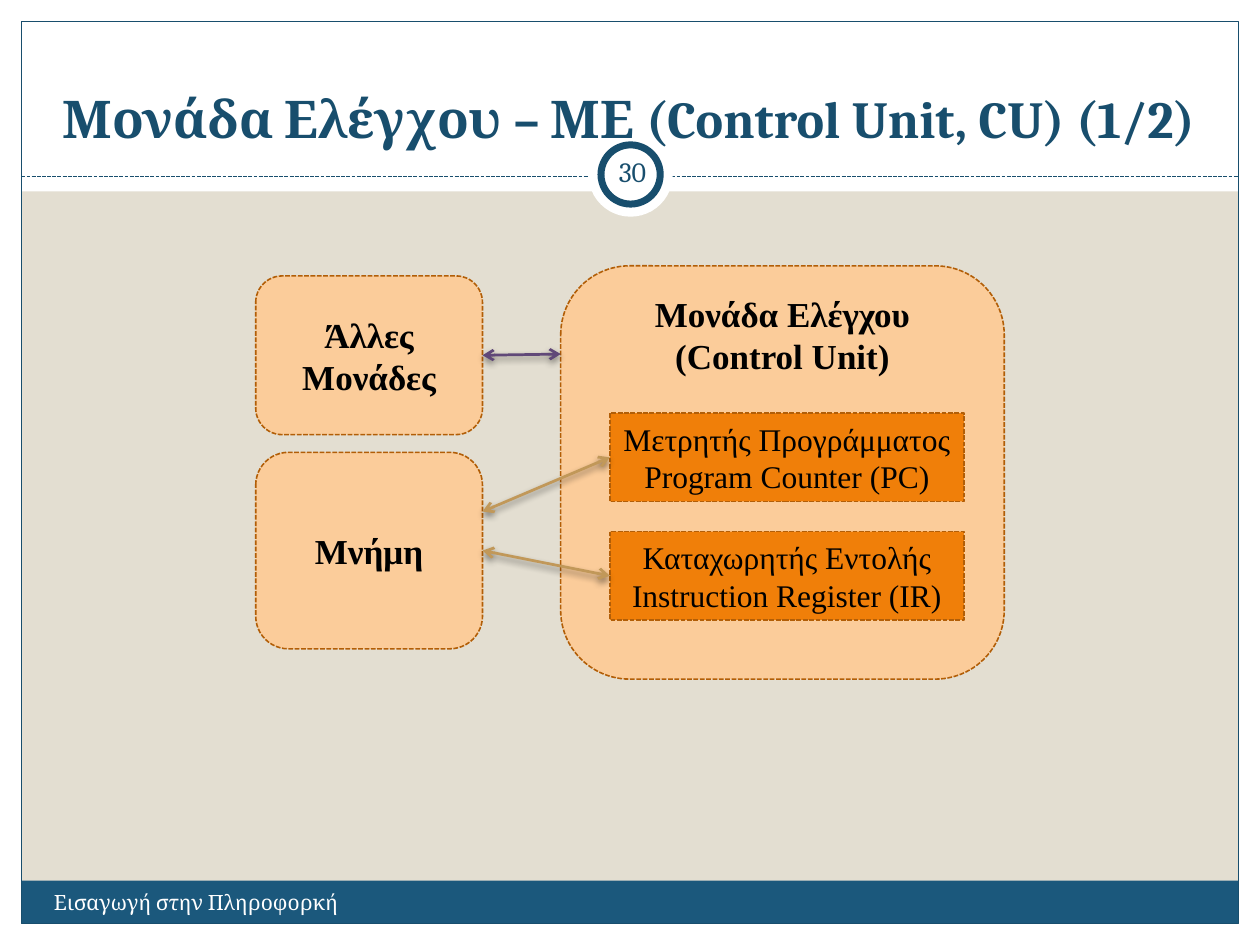
from lxml import etree
from pptx import Presentation
from pptx.dml.color import RGBColor
from pptx.enum.dml import MSO_LINE
from pptx.enum.shapes import MSO_CONNECTOR, MSO_SHAPE
from pptx.enum.text import MSO_ANCHOR, PP_ALIGN
from pptx.oxml.ns import qn
from pptx.util import Inches, Pt

RECTANGLE, ROUNDED, OVAL = MSO_SHAPE.RECTANGLE, MSO_SHAPE.ROUNDED_RECTANGLE, MSO_SHAPE.OVAL
STRAIGHT = MSO_CONNECTOR.STRAIGHT
DASH = MSO_LINE.SQUARE_DOT
TOP, MIDDLE, BOTTOM = MSO_ANCHOR.TOP, MSO_ANCHOR.MIDDLE, MSO_ANCHOR.BOTTOM
LEFT, CENTER = PP_ALIGN.LEFT, PP_ALIGN.CENTER
LEFT_SIDE, RIGHT_SIDE = 1, 3
TITLE_ONLY = 5
HEADING_FONT, DIAGRAM_FONT = "Cambria", "Times New Roman"
COLORS = {
    "background": "E3DED1", "white": "FFFFFF", "black": "000000",
    "navy": "184E6D", "footer": "1B587C",
    "unit": "FBCC9A", "register": "F07F09", "border": "B25E07",
    "memory_arrow": "C19859", "unit_arrow": "604878",
}


def color(name):
    return RGBColor.from_string(COLORS[name])


def inches(box):
    return [Inches(value) for value in box]


def set_line(line, name, width, dash=None):
    line.color.rgb = color(name)
    line.width = Pt(width)
    if dash:
        line.dash_style = dash


def add_box(slide, kind, box, fill=None, line=None, width=0.75, dash=None):
    shape = slide.shapes.add_shape(kind, *inches(box))
    shape.shadow.inherit = False
    if fill:
        shape.fill.solid()
        shape.fill.fore_color.rgb = color(fill)
    else:
        shape.fill.background()
    if line:
        set_line(shape.line, line, width, dash)
    else:
        shape.line.fill.background()
    return shape


def write_text(shape, lines, size, font=HEADING_FONT, fill="black", bold=False,
               align=CENTER, anchor=MIDDLE, inset=None):
    frame = shape.text_frame
    frame.word_wrap = True
    frame.vertical_anchor = anchor
    if inset is not None:
        frame.margin_left = frame.margin_right = Inches(inset)
        frame.margin_top = frame.margin_bottom = Inches(inset)
    frame.text = "\n".join(lines)
    for paragraph in frame.paragraphs:
        paragraph.alignment = align
        paragraph.font.name = font
        paragraph.font.size = Pt(size)
        paragraph.font.bold = bold
        paragraph.font.color.rgb = color(fill)


def add_effects(connector):
    return etree.SubElement(connector._element.spPr, qn("a:effectLst"))


def add_double_arrow(slide, start, end, line, begin_shape=None, end_shape=None):
    """Add a shadowed two-headed arrow, joined to the shapes that are given."""
    connector = slide.shapes.add_connector(STRAIGHT, *inches(start + end))
    if begin_shape:
        connector.begin_connect(begin_shape, RIGHT_SIDE)
    if end_shape:
        connector.end_connect(end_shape, LEFT_SIDE)
    set_line(connector.line, line, 1.57)
    outline = connector.line._get_or_add_ln()
    for tag in ("a:headEnd", "a:tailEnd"):
        etree.SubElement(outline, qn(tag), type="arrow")
    shadow = etree.SubElement(add_effects(connector), qn("a:outerShdw"), blurRad=str(Pt(4)),
                              dist=str(Pt(2)), dir="5400000", rotWithShape="0")
    shade = etree.SubElement(shadow, qn("a:srgbClr"), val=COLORS["black"])
    etree.SubElement(shade, qn("a:alpha"), val="45000")


def add_page_frame(slide, box, header_height):
    """Draw the white margins, footer band and border of the page."""
    left, top, width, height = box
    margin = 0.17
    bottom, right = top + height - margin, left + width - margin
    for strip in ((left, bottom, width, margin), (left, top, width, header_height),
                  (left, top, margin, height), (right, top, margin, height)):
        add_box(slide, RECTANGLE, strip, fill="white")
    inner = width - 2 * margin
    add_box(slide, RECTANGLE, (left + margin, bottom - 0.34, inner, 0.34), fill="footer")
    add_box(slide, RECTANGLE, (left + margin, top + margin, inner, height - 2 * margin),
            line="navy")
    rule = top + header_height - 0.12
    divider = slide.shapes.add_connector(
        STRAIGHT, *inches((left + margin, rule, right, rule)))
    set_line(divider.line, "navy", 0.75, DASH)
    add_effects(divider)


def add_number_badge(slide, box, number):
    left, top, size, _ = box
    ring = 0.1
    add_box(slide, OVAL, box, fill="white")
    add_box(slide, OVAL, (left + ring, top + ring, size - 2 * ring, size - 2 * ring),
            fill="white", line="navy", width=4)
    label = slide.shapes.add_textbox(*inches((left + ring, top + 0.07, 0.5, 0.48)))
    write_text(label, [number], 16, fill="navy", inset=0.05)


def add_title(slide, box, text):
    title = slide.shapes.title
    title.left, title.top, title.width, title.height = inches(box)
    write_text(title, [text], 29.7, fill="navy", bold=True, anchor=BOTTOM)
    slide.shapes._spTree.append(title._element)  # in front of the white header


def add_footer(slide, box, text):
    footer = slide.shapes.add_textbox(*inches(box))
    write_text(footer, [text], 12, fill="white", align=LEFT, anchor=TOP)


def add_unit(slide, box, lines, anchor=MIDDLE):
    unit = add_box(slide, ROUNDED, box, "unit", "border", 0.9, DASH)
    write_text(unit, lines, 20, DIAGRAM_FONT, bold=True, anchor=anchor)
    return unit


def add_register(slide, box, lines):
    register = add_box(slide, RECTANGLE, box, "register", "border", 0.9, DASH)
    write_text(register, lines, 18, DIAGRAM_FONT)
    return register


def add_control_diagram(slide, box):
    """Draw the control unit with its registers and the units it talks to."""
    left, top, width, height = box
    unit_width, control_width = 1.8, 3.52
    unit_right = left + unit_width
    control_left = left + width - control_width
    add_unit(slide, (control_left, top, control_width, height),
             ["Μονάδα Ελέγχου", "(Control Unit)"], anchor=TOP)
    register_left = control_left + 0.39
    counter, instruction = [
        add_register(slide, (register_left, top + 1.17 + row * 0.94, 2.81, 0.7), lines)
        for row, lines in enumerate((
            ["Μετρητής Προγράμματος", "Program Counter (PC)"],
            ["Καταχωρητής Εντολής", "Instruction Register (IR)"]))]
    memory = add_unit(slide, (left, top + 1.48, unit_width, 1.56), ["Μνήμη"])
    others = add_unit(slide, (left, top + 0.08, unit_width, 1.26), ["Άλλες Μονάδες"])

    add_double_arrow(slide, (unit_right, top + 1.95), (register_left, top + 1.52),
                     "memory_arrow", end_shape=counter)
    add_double_arrow(slide, (unit_right, top + 2.26), (register_left, top + 2.46),
                     "memory_arrow", begin_shape=memory, end_shape=instruction)
    add_double_arrow(slide, (unit_right, top + 0.71), (control_left, top + 0.7),
                     "unit_arrow", begin_shape=others)


def main():
    presentation = Presentation()
    presentation.slide_width, presentation.slide_height = Inches(10), Inches(7.5)
    slide = presentation.slides.add_slide(presentation.slide_layouts[TITLE_ONLY])
    slide.background.fill.solid()
    slide.background.fill.fore_color.rgb = color("background")
    add_page_frame(slide, (0, 0, 10, 7.5), header_height=1.52)
    add_number_badge(slide, (4.67, 1.05, 0.67, 0.67), "30")
    add_title(slide, (0.33, 0.4, 9.33, 0.83), "Μονάδα Ελέγχου – ΜΕ (Control Unit, CU) (1/2)")
    add_footer(slide, (0.33, 7.01, 3.92, 0.4), "Εισαγωγή στην Πληροφορκή")
    add_control_diagram(slide, (2.03, 2.11, 5.94, 3.28))
    presentation.save("out.pptx")


if __name__ == "__main__":
    main()
